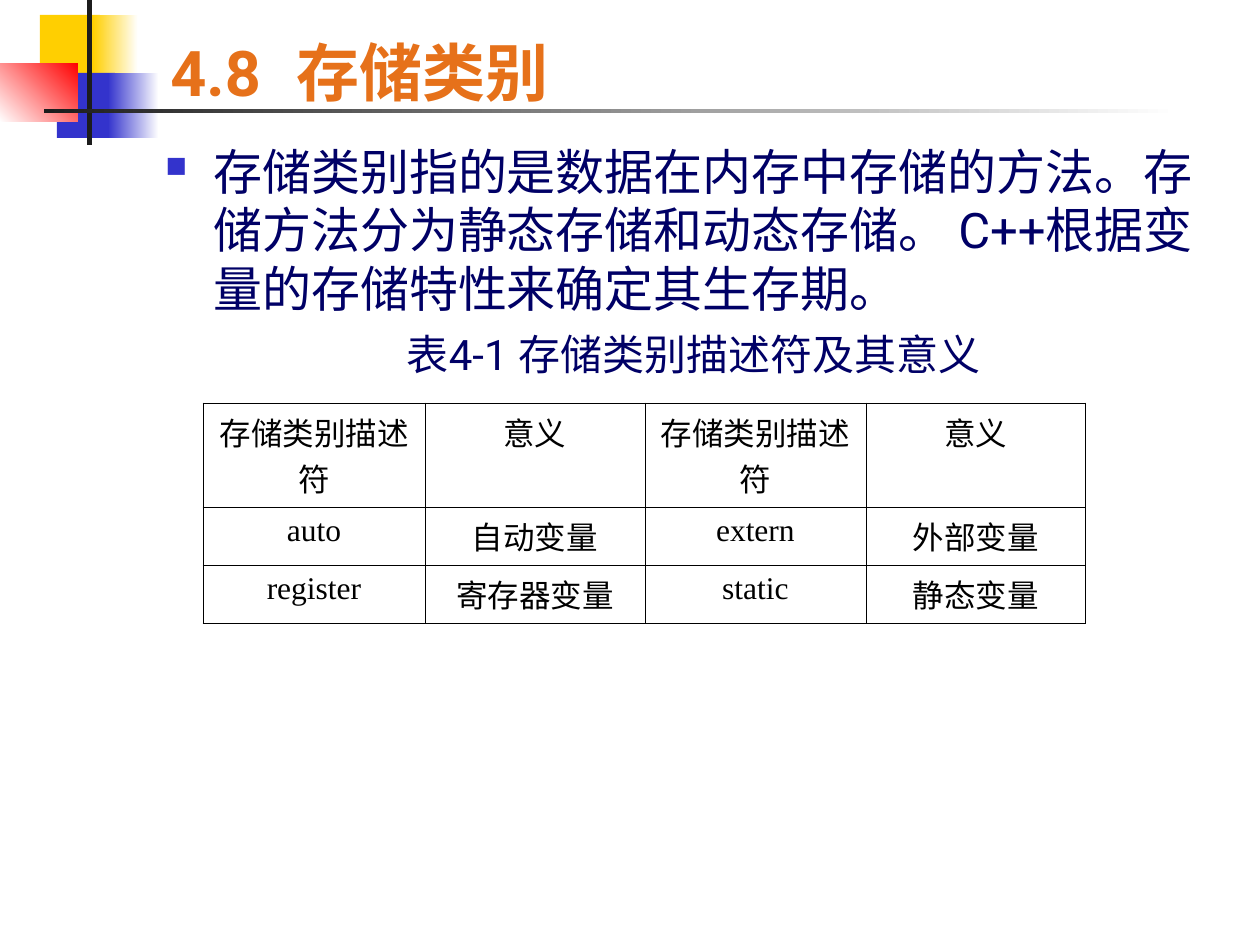
from lxml import etree
from pptx import Presentation
from pptx.dml.color import RGBColor
from pptx.enum.shapes import MSO_SHAPE
from pptx.enum.text import MSO_ANCHOR, PP_ALIGN
from pptx.oxml.ns import qn
from pptx.util import Emu, Pt

PX = 914400 // 126
RECTANGLE = MSO_SHAPE.RECTANGLE
BOTTOM, TOP = MSO_ANCHOR.BOTTOM, MSO_ANCHOR.TOP
CENTER, LEFT = PP_ALIGN.CENTER, PP_ALIGN.LEFT

COLORS = {
    "white": "FFFFFF", "yellow": "FFCF01", "blue": "3333CC", "red": "FF0000",
    "ink": "1C1C1C", "orange": "E6711A", "navy": "000066", "black": "000000",
}

# box, colours (two make a gradient), counter-clockwise gradient angle
DECORATION = [
    ((40, 15, 60, 66), ("yellow",), None),
    ((93, 15, 45, 66), ("white", "yellow"), 180),
    ((57, 73, 58, 65), ("blue",), None),
    ((108, 73, 51, 65), ("white", "blue"), 180),
    ((0, 63, 78, 59), ("red", "white"), 225),
    ((87, 0, 5, 145), ("ink",), None),
    ((44, 109, 1134, 4), ("white", "ink"), 180),
]

TITLE = "4.8 \t存储类别"
DEFINITION = ("存储类别指的是数据在内存中存储的方法。存储方法分为静态存储和动态存储。 "
              "C++根据变量的存储特性来确定其生存期。")
CAPTION = "表4-1 存储类别描述符及其意义"
SPECIFIERS = [
    ["存储类别描述符", "意义", "存储类别描述符", "意义"],
    ["auto", "自动变量", "extern", "外部变量"],
    ["register", "寄存器变量", "static", "静态变量"],
]
TITLE_BOX = (158, 29, 1074, 86)
BODY_BOX = (153, 135, 1081, 709)
TABLE_ORIGIN = (203, 403)
COLUMN_WIDTHS = [222, 220, 221, 220]
ROW_HEIGHTS = [104, 58, 58]
INDENT = 48
TAB_STOP = 126

TITLE_FONT = {"name": "Roboto", "size": Pt(36), "bold": True}
BODY_FONT = {"name": "Roboto", "size": Pt(28)}
CAPTION_FONT = {"name": "Roboto", "size": Pt(24)}
CELL_FONT = {"name": "Times New Roman", "size": Pt(18)}


def px(*lengths):
    return [Emu(length * PX) for length in lengths]


def rgb(name):
    return RGBColor.from_string(COLORS[name])


def add_xml(parent, tag, **attributes):
    return etree.SubElement(parent, qn(tag), attributes)


def add_decoration(slide, box, colors, angle):
    block = slide.shapes.add_shape(RECTANGLE, *px(*box))
    block.shadow.inherit = False
    block.line.fill.background()
    if len(colors) == 1:
        block.fill.solid()
        block.fill.fore_color.rgb = rgb(colors[0])
        return
    block.fill.gradient()
    block.fill.gradient_angle = angle
    for stop, color in zip(block.fill.gradient_stops, colors):
        stop.color.rgb = rgb(color)


def add_text_frame(slide, box, anchor):
    frame = slide.shapes.add_textbox(*px(*box)).text_frame
    frame.word_wrap = True
    frame.vertical_anchor = anchor
    return frame


def write(paragraph, text, font, color, align=LEFT):
    paragraph.alignment = align
    run = paragraph.add_run()
    run.text = text
    for attribute, value in font.items():
        setattr(run.font, attribute, value)
    run.font.color.rgb = rgb(color)


def add_tab_stop(paragraph, position):
    tabs = add_xml(paragraph._p.get_or_add_pPr(), "a:tabLst")
    add_xml(tabs, "a:tab", pos=str(position * PX), algn="l")


def add_bullet(paragraph):
    properties = paragraph._p.get_or_add_pPr()
    properties.set("marL", str(INDENT * PX))
    properties.set("indent", str(-INDENT * PX))
    add_xml(add_xml(properties, "a:buClr"), "a:srgbClr", val=COLORS["blue"])
    add_xml(properties, "a:buSzPct", val="60000")
    add_xml(properties, "a:buChar", char="■")


def add_borders(cell):
    """Rule all four sides; borders must precede the fill."""
    properties = cell._tc.get_or_add_tcPr()
    for side in ("a:lnL", "a:lnR", "a:lnT", "a:lnB"):
        line = add_xml(properties, side, w=str(Pt(0.45)))
        add_xml(add_xml(line, "a:solidFill"), "a:srgbClr", val=COLORS["black"])


def add_specifier_table(slide):
    size = (sum(COLUMN_WIDTHS), sum(ROW_HEIGHTS))
    table = slide.shapes.add_table(len(ROW_HEIGHTS), len(COLUMN_WIDTHS),
                                   *px(*TABLE_ORIGIN, *size)).table
    table.first_row = table.horz_banding = False
    for column, width in zip(table.columns, px(*COLUMN_WIDTHS)):
        column.width = width
    for row, height, texts in zip(table.rows, px(*ROW_HEIGHTS), SPECIFIERS):
        row.height = height
        for cell, text in zip(row.cells, texts):
            add_borders(cell)
            cell.fill.background()
            write(cell.text_frame.paragraphs[0], text, CELL_FONT, "black", CENTER)


def main():
    presentation = Presentation()
    presentation.slide_width, presentation.slide_height = px(1260, 945)
    slide = presentation.slides.add_slide(presentation.slide_layouts[6])

    for box, colors, angle in DECORATION:
        add_decoration(slide, box, colors, angle)

    heading = add_text_frame(slide, TITLE_BOX, BOTTOM).paragraphs[0]
    add_tab_stop(heading, TAB_STOP)
    write(heading, TITLE, TITLE_FONT, "orange")

    body = add_text_frame(slide, BODY_BOX, TOP)
    definition = body.paragraphs[0]
    add_bullet(definition)
    write(definition, DEFINITION, BODY_FONT, "navy")
    caption = body.add_paragraph()
    caption.space_before = Pt(6)
    write(caption, CAPTION, CAPTION_FONT, "navy", CENTER)

    add_specifier_table(slide)
    presentation.save("out.pptx")


if __name__ == "__main__":
    main()
